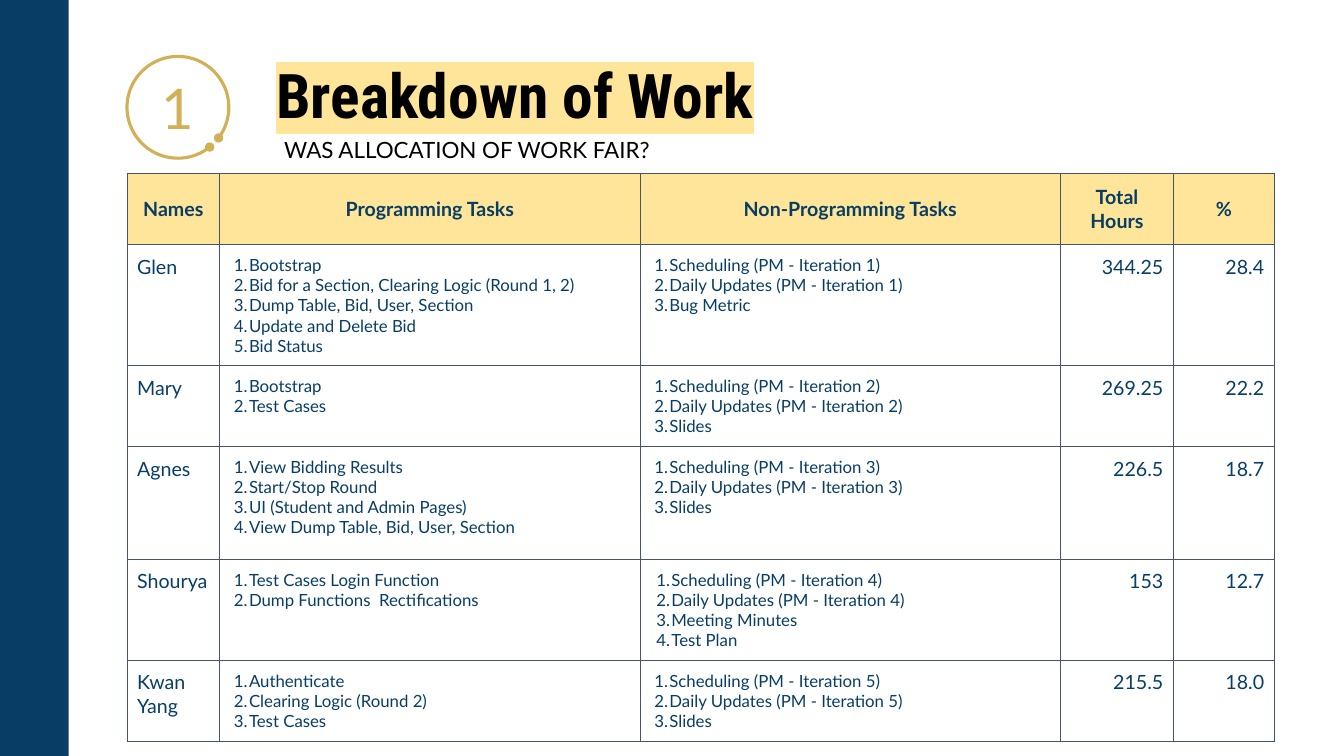
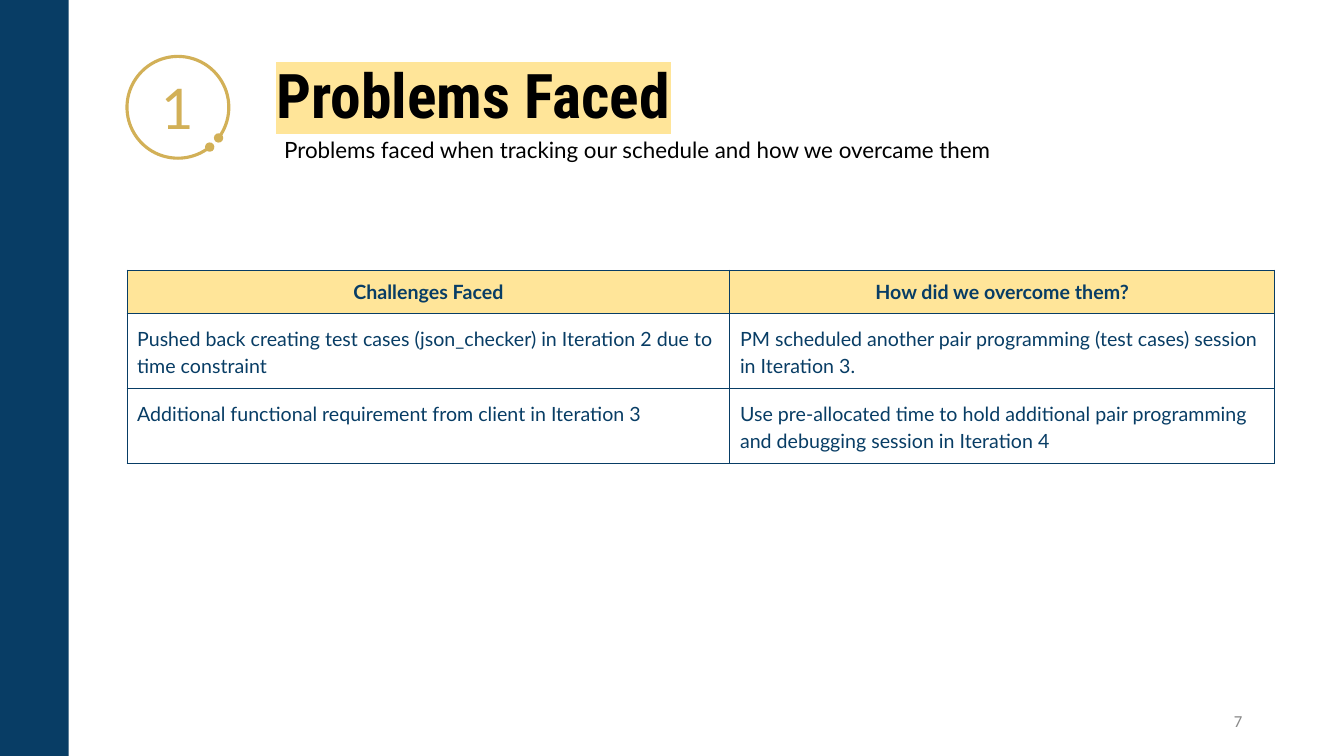
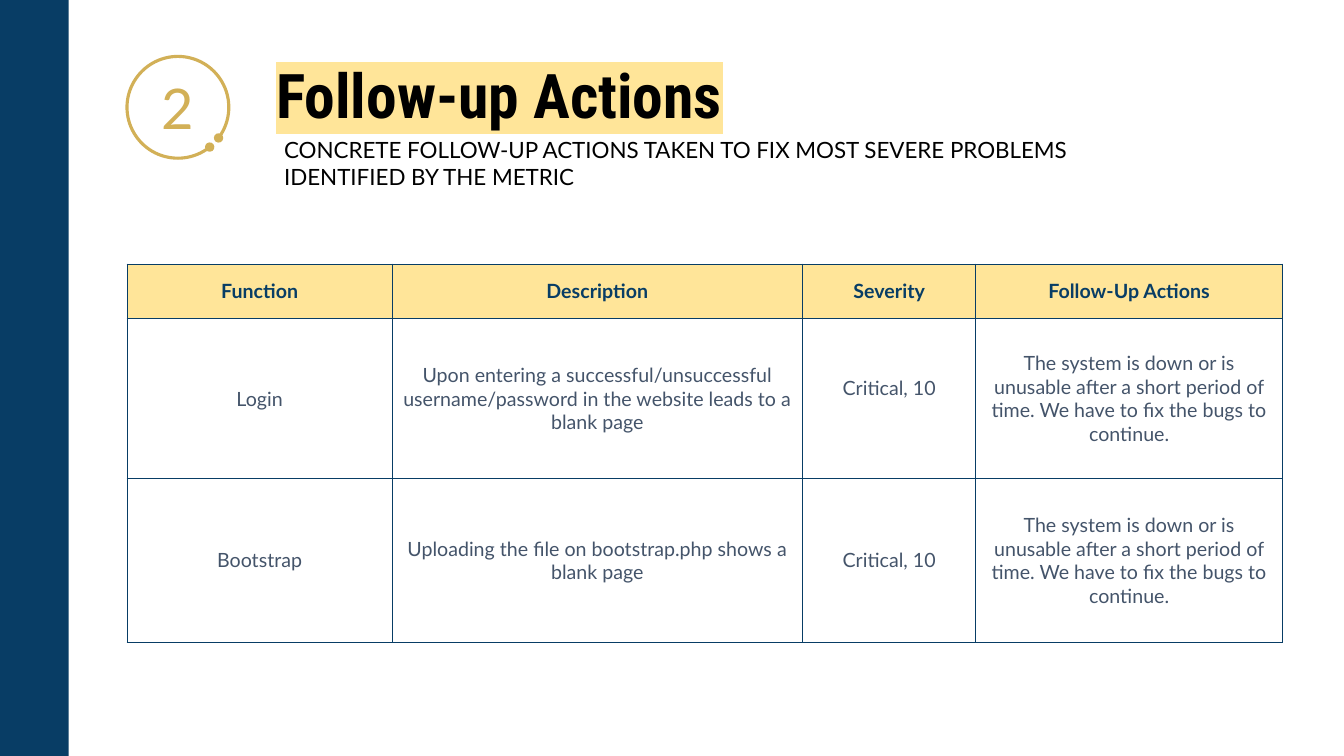
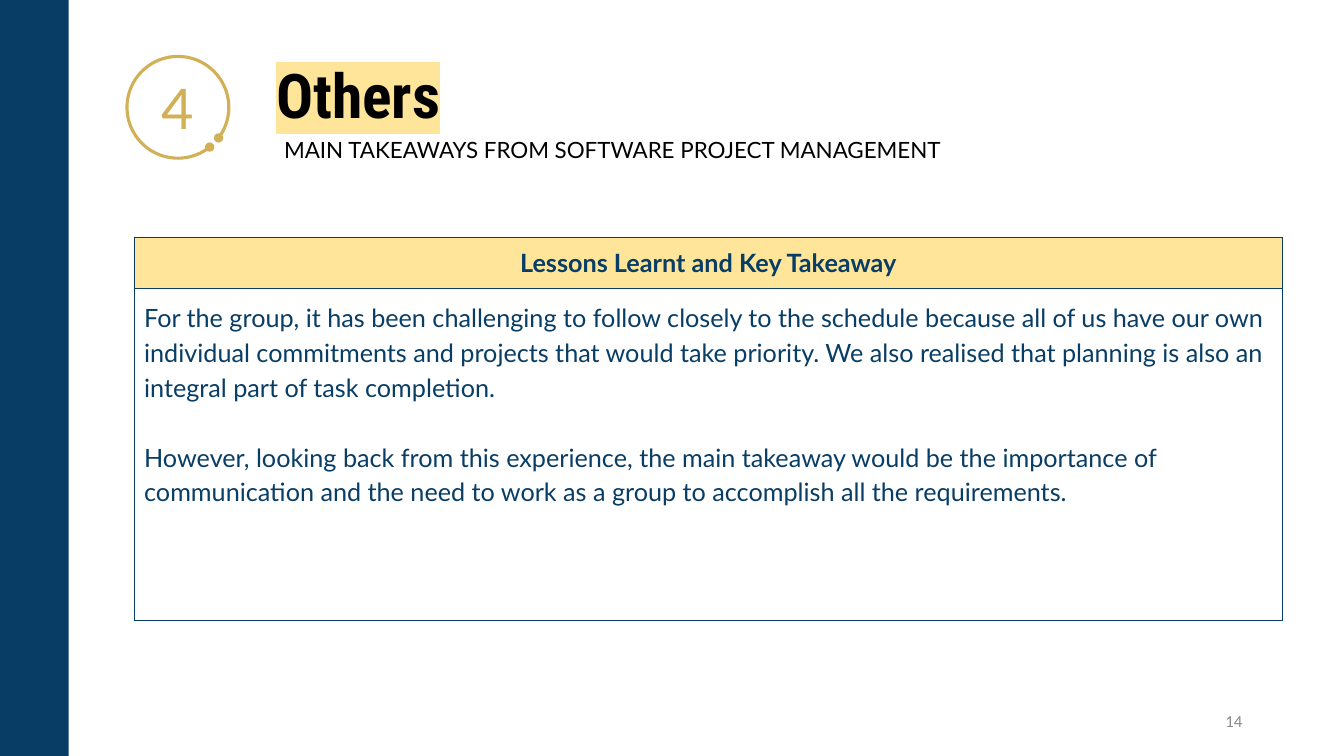
from lxml.etree import SubElement as Sub, Element
from pptx import Presentation
from pptx.dml.color import RGBColor as RGB
from pptx.enum.shapes import MSO_SHAPE as Shape
from pptx.enum.text import MSO_ANCHOR as Anchor, PP_ALIGN as Align
from pptx.oxml.ns import qn
from pptx.util import Emu, Pt

SCALE = 9144
WIDE, HIGH = 1333, 750
NAVY = RGB(0x08, 0x3D, 0x65)
SLATE = RGB(0x44, 0x54, 0x6A)
GOLD = RGB(0xD2, 0xB0, 0x57)
CREAM = RGB(0xFF, 0xE5, 0x99)
BLACK = RGB(0, 0, 0)
GREY = RGB(0x88, 0x88, 0x88)

HOURS = [
    ("Glen",
     ["Bootstrap", "Bid for a Section, Clearing Logic (Round 1, 2)",
      "Dump Table, Bid, User, Section", "Update and Delete Bid", "Bid Status"],
     ["Bug Metric"], "344.25", "28.4"),
    ("Mary", ["Bootstrap", "Test Cases"], ["Slides"], "269.25", "22.2"),
    ("Agnes",
     ["View Bidding Results", "Start/Stop Round",
      "UI (Student and Admin Pages)", "View Dump Table, Bid, User, Section"],
     ["Slides"], "226.5", "18.7"),
    ("Shourya",
     ["Test Cases Login Function", "Dump Functions  Rectifications"],
     ["Meeting Minutes", "Test Plan"], "153", "12.7"),
    ("Kwan Yang",
     ["Authenticate", "Clearing Logic (Round 2)", "Test Cases"],
     ["Slides"], "215.5", "18.0"),
]
HURDLES = [
    ("Pushed back creating test cases (json_checker) in Iteration 2 due to time constraint",
     "PM scheduled another pair programming (test cases) session in Iteration 3."),
    ("Additional functional requirement from client in Iteration 3",
     "Use pre-allocated time to hold additional pair programming and debugging session in Iteration 4"),
]
ACTION = ("The system is down or is unusable after a short period of time. "
          "We have to fix the bugs to continue.")
BUGS = [
    ("Login", "Upon entering a successful/unsuccessful username/password in the "
     "website leads to a blank page", "Critical, 10", ACTION),
    ("Bootstrap", "Uploading the file on bootstrap.php shows a blank page",
     "Critical, 10", ACTION),
]
LESSONS = [
    "For the group, it has been challenging to follow closely to the schedule because "
    "all of us have our own individual commitments and projects that would take priority. "
    "We also realised that planning is also an integral part of task completion.",
    "However, looking back from this experience, the main takeaway would be the importance "
    "of communication and the need to work as a group to accomplish all the requirements.",
]


def px(*sizes):
    return [Emu(size * SCALE) for size in sizes]


def write(frame, text, size, tint=NAVY, face="Lato", bold=False,
          align=Align.LEFT, lead=None):
    frame.text = text
    for para in frame.paragraphs:
        para.alignment = align
        if lead:
            para.line_spacing = lead
        for run in para.runs:
            font = run.font
            font.size, font.name, font.bold = Pt(size), face, bold
            font.color.rgb = tint


def tint_node(parent, tag, tint):
    Sub(Sub(parent, qn(tag)), qn("a:srgbClr"), val=str(tint))


def label(slide, box, text, size, tint, anchor=Anchor.TOP, inset=5, **style):
    frame = slide.shapes.add_textbox(*px(*box)).text_frame
    frame.word_wrap = True
    frame.vertical_anchor = anchor
    frame.margin_top = frame.margin_bottom = px(inset)[0]
    write(frame, text, size, tint, **style)
    return frame


def badge(slide, box, text):
    ring = slide.shapes.add_shape(Shape.ARC, *px(*box))
    ring.shadow.inherit = False
    ring.adjustments[0], ring.adjustments[1] = 30.832, 22.192
    ring.fill.background()
    ring.line.color.rgb, ring.line.width = GOLD, Pt(2.25)
    line = ring.line._get_or_add_ln()
    for end in ("a:headEnd", "a:tailEnd"):
        Sub(line, qn(end), type="oval")
    frame = ring.text_frame
    frame.vertical_anchor = Anchor.MIDDLE
    write(frame, text, 40, GOLD, align=Align.CENTER)


def banner(slide, left, top, width, title, note):
    frame = label(slide, (left, top, 944, 109), title, 44, BLACK, Anchor.BOTTOM,
                  face="Roboto Condensed", bold=True)
    props = frame.paragraphs[0].runs[0]._r.get_or_add_rPr()
    mark = Element(qn("a:highlight"))
    Sub(mark, qn("a:srgbClr"), val=str(CREAM))
    props.find(qn("a:solidFill")).addnext(mark)
    label(slide, (left + 8, top + 99, width, 47), note, 16, BLACK, inset=10)


def start(deck, mark, title, note, width=723, page=None):
    slide = deck.slides.add_slide(deck.slide_layouts[6])
    badge(slide, (126, 56, 101, 101), mark)
    bar = slide.shapes.add_shape(Shape.RECTANGLE, *px(0, 0, 68, HIGH))
    bar.shadow.inherit = False
    bar.fill.solid()
    bar.fill.fore_color.rgb = NAVY
    bar.line.fill.background()
    banner(slide, 264, 26, width, title, note)
    if page:
        label(slide, (942, 695, 300, 40), page, 12, GREY, Anchor.MIDDLE,
              face="Calibri", align=Align.RIGHT)
    return slide


def border(cell, tint):
    props = cell._tc.get_or_add_tcPr()
    for side in "LRTB":
        line = Sub(props, qn("a:ln" + side), w=str(Pt(0.75)))
        tint_node(line, "a:solidFill", tint)


def grid(slide, left, top, cols, rows, heads, edge=NAVY, size=14):
    box = px(left, top, sum(cols), sum(rows))
    table = slide.shapes.add_table(len(rows), len(cols), *box).table
    table.first_row = table.horz_banding = False
    for col, width in zip(table.columns, px(*cols)):
        col.width = width
    for row, height in zip(table.rows, px(*rows)):
        row.height = height
    for cell in table.iter_cells():
        border(cell, edge)
        cell.fill.background()
        cell.margin_left, cell.margin_right, cell.margin_top, cell.margin_bottom = px(10, 10, 10, 10)
    for cell, head in zip(table.rows[0].cells, heads):
        cell.fill.solid()
        cell.fill.fore_color.rgb = CREAM
        cell.vertical_anchor = Anchor.MIDDLE
        write(cell.text_frame, head, size, bold=True, align=Align.CENTER)
    return table


def number(frame):
    left, hang = px(19, -15)
    for para in frame.paragraphs:
        props = para._p.get_or_add_pPr()
        props.set("marL", str(left))
        props.set("indent", str(hang))
        tint_node(props, "a:buClr", NAVY)
        Sub(props, qn("a:buAutoNum"), type="arabicPeriod")


def work(deck):
    slide = start(deck, "1", "Breakdown of Work", "WAS ALLOCATION OF WORK FAIR?")
    table = grid(slide, 126, 172, [92, 417, 417, 112, 100],
                 [71, 120, 80, 112, 100, 80],
                 ["Names", "Programming Tasks", "Non-Programming Tasks", "Total Hours", "%"],
                 SLATE)
    for turn, (name, code, other, hours, share) in enumerate(HOURS, 1):
        cells = table.rows[turn].cells
        shared = [f"{job} (PM - Iteration {turn})" for job in ("Scheduling", "Daily Updates")]
        write(cells[0].text_frame, name, 14)
        for col, tasks in ((1, code), (2, shared + other)):
            write(cells[col].text_frame, "\n".join(tasks), 12)
            number(cells[col].text_frame)
        for col, figure in ((3, hours), (4, share)):
            write(cells[col].text_frame, figure, 14, align=Align.RIGHT)
    table.cell(4, 2).margin_left = px(12)[0]


def problems(deck):
    slide = start(deck, "1", "Problems Faced",
                  "Problems faced when tracking our schedule and how we overcame them",
                  page="7")
    table = grid(slide, 126, 268, [598, 540], [42, 74, 74],
                 ["Challenges Faced", "How did we overcome them?"])
    for row, texts in enumerate(HURDLES, 1):
        for cell, text in zip(table.rows[row].cells, texts):
            write(cell.text_frame, text, 14, lead=1.15)


def actions(deck):
    slide = start(deck, "2", "Follow-up Actions",
                  "CONCRETE FOLLOW-UP ACTIONS TAKEN TO FIX MOST SEVERE PROBLEMS "
                  "IDENTIFIED BY THE METRIC", 806)
    table = grid(slide, 126, 262, [263, 407, 172, 304], [54, 159, 162],
                 ["Function", "Description", "Severity", "Follow-Up Actions"])
    for row, texts in enumerate(BUGS, 1):
        for cell, text in zip(table.rows[row].cells, texts):
            cell.vertical_anchor = Anchor.MIDDLE
            write(cell.text_frame, text, 14, SLATE, align=Align.CENTER)
    table.cell(1, 2).margin_bottom = px(32)[0]


def others(deck):
    slide = start(deck, "4", "Others",
                  "MAIN TAKEAWAYS FROM SOFTWARE PROJECT MANAGEMENT", page="14")
    table = grid(slide, 133, 236, [1139], [49, 330],
                 ["Lessons Learnt and Key Takeaway"], size=18)
    frame = table.cell(1, 0).text_frame
    write(frame, "\n".join(LESSONS), 18, lead=1.15)
    frame.paragraphs[1].space_before = Pt(25)


def main():
    deck = Presentation()
    deck.slide_width, deck.slide_height = px(WIDE, HIGH)
    for build in (work, problems, actions, others):
        build(deck)
    deck.save("out.pptx")


if __name__ == "__main__":
    main()
